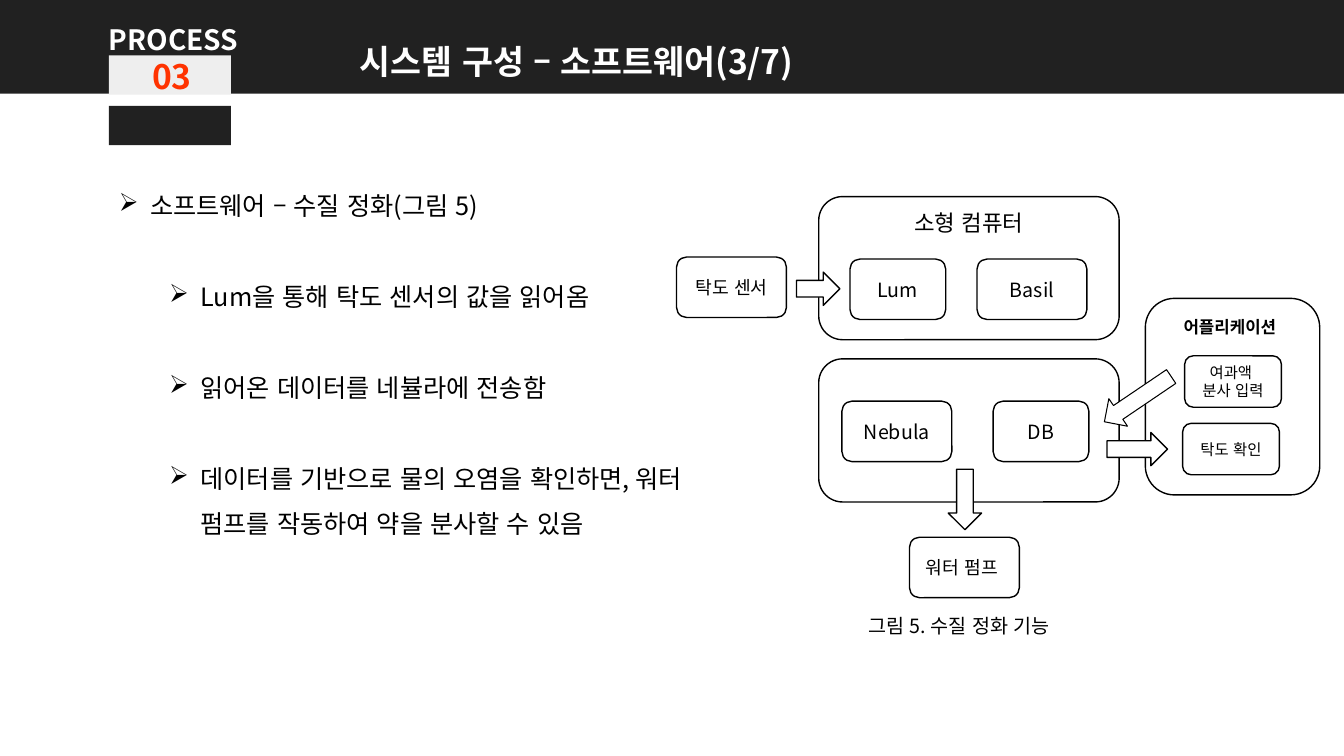
from pptx import Presentation
from pptx.dml.color import RGBColor
from pptx.enum import lang, shapes as sh, text as tx
from pptx.oxml import ns
from pptx.util import Inches, Pt
from lxml import etree

FONT = "Noto Sans CJK KR"
HEX = {"dark": "212121", "pale": "EEEEEE", "red": "FF3300",
       "white": "FFFFFF", "black": "000000"}
KIND = sh.MSO_SHAPE
LEFT, MID = tx.PP_ALIGN.LEFT, tx.PP_ALIGN.CENTER

# Bars: place, colour
BARS = [((0, 0, 13.33, 0.93), "dark"),
        ((1.08, 0.55, 1.21, 0.39), "pale"),
        ((1.08, 1.05, 1.21, 0.39), "dark")]

# Labels: text, place, size, colour, bold, alignment, line spacing, wrap
LABELS = [
    ("PROCESS", (0.98, 0.01, 1.6, 0.54), 20, "white", True, LEFT, 1.5, False),
    ("시스템 구성 – 소프트웨어(3/7)", (3.08, 0.16, 5.28, 0.63), 24, "white", True, MID, 1.5, True),
    ("03", (1.41, 0.51, 0.59, 0.5), 24, "red", True, LEFT, 1, False),
    ("그림 5. 수질 정화 기능 ", (6.77, 6.04, 5.54, 0.34), 14, "black", False, MID, 1, True),
]

# Bullets: level, text
BULLETS = [
    (0, "소프트웨어 – 수질 정화(그림 5)"),
    (1, "Lum을 통해 탁도 센서의 값을 읽어옴"),
    (1, "읽어온 데이터를 네뷸라에 전송함"),
    (1, "데이터를 기반으로 물의 오염을 확인하면, 워터 펌프를 작동하여 약을 분사할 수 있음"),
]

# Panels: heading, place
PANELS = [("", (11.36, 2.96, 1.73, 1.95)),
          ("소형 컴퓨터", (8.12, 1.95, 2.98, 1.42)),
          ("", (8.12, 3.56, 2.98, 1.42))]
APP = ("어플리케이션", (11.64, 3.09, 1.21, 0.3), 12, "black", True, LEFT, 1, False)

# Nodes: text, left, top, size of box, text size
WIDE, SLIM, SMALL = (1.09, 0.6), (0.95, 0.6), (0.96, 0.51)
NODES = [
    ("여과액 \n분사 입력", 11.75, 3.53, SMALL, 11),
    ("탁도 확인", 11.73, 4.2, SMALL, 11),
    ("Basil", 9.69, 2.57, WIDE, 14),
    ("Lum", 8.43, 2.57, SLIM, 14),
    ("Nebula", 8.35, 3.98, WIDE, 14),
    ("DB", 9.85, 3.98, SLIM, 14),
    ("탁도 센서", 6.71, 2.55, WIDE, 13),
    ("워터 펌프 ", 9.02, 5.33, WIDE, 13),
]

# Arrows: kind, place, turn, line width
ARROWS = [
    (KIND.RIGHT_ARROW, (7.9, 2.7, 0.43, 0.33), 0, 1),
    (KIND.RIGHT_ARROW, (9.27, 4.79, 0.6, 0.33), 90, 1),
    (KIND.DOWN_ARROW, (11.12, 3.56, 0.33, 0.8), 55.9, 0.75),
    (KIND.RIGHT_ARROW, (10.98, 4.29, 0.6, 0.33), 0, 1),
]


def color(name):
    return RGBColor.from_string(HEX[name])


def add_run(para, words, size, tint="black", bold=False):
    run = para.add_run()
    run.text = words
    font = run.font
    font.size, font.bold, font.name = Pt(size), bold, FONT
    font.language_id = lang.MSO_LANGUAGE_ID.KOREAN
    font.color.rgb = color(tint)
    east = etree.SubElement(run._r.get_or_add_rPr(), ns.qn("a:ea"))
    east.set("typeface", FONT)


def add_lines(frame, words, size, align=MID, gap=1, **look):
    for i, line in enumerate(words.split("\n")):
        para = frame.add_paragraph() if i else frame.paragraphs[0]
        para.alignment, para.line_spacing = align, gap
        add_run(para, line, size, **look)


def add_shape(home, kind, place, fill, line=None):
    shape = home.add_shape(kind, *map(Inches, place))
    shape.shadow.inherit = False
    shape.fill.solid()
    shape.fill.fore_color.rgb = color(fill)
    if line:
        shape.line.color.rgb = color("black")
        shape.line.width = Pt(line)
    else:
        shape.line.fill.background()
    return shape


def add_label(home, words, place, size, tint, bold, align, gap, wrap):
    frame = home.add_textbox(*map(Inches, place)).text_frame
    frame.word_wrap = wrap
    add_lines(frame, words, size, align, gap, tint=tint, bold=bold)


def add_bullets(home):
    frame = home.add_textbox(*map(Inches, (1.08, 1.69, 5.91, 3.74))).text_frame
    frame.word_wrap = True
    for i, (level, words) in enumerate(BULLETS):
        para = frame.add_paragraph() if i else frame.paragraphs[0]
        para.level, para.line_spacing = level, 1.5
        para.space_before = Pt(32.5 if i else 0)
        props = para._p.get_or_add_pPr()
        props.set("marL", str(Inches(0.31 + 0.5 * level)))
        props.set("indent", str(Inches(-0.31)))
        etree.SubElement(props, ns.qn("a:buChar")).set("char", "➢")
        add_run(para, words, 18)


def add_diagram(home):
    for words, place in PANELS:
        panel = add_shape(home, KIND.ROUNDED_RECTANGLE, place, "white", 1)
        if words:
            frame = panel.text_frame
            frame.vertical_anchor = tx.MSO_ANCHOR.TOP
            frame.margin_top = Inches(0.06)
            add_lines(frame, words, 16)
    add_label(home, *APP)
    for words, left, top, box, size in NODES:
        node = add_shape(home, KIND.ROUNDED_RECTANGLE, (left, top, *box), "white", 1)
        node.text_frame.word_wrap = True
        node.text_frame.vertical_anchor = tx.MSO_ANCHOR.MIDDLE
        add_lines(node.text_frame, words, size)
    for kind, place, turn, width in ARROWS:
        add_shape(home, kind, place, "white", width).rotation = turn


def main():
    deck = Presentation()
    deck.slide_width, deck.slide_height = Inches(13.33), Inches(7.5)
    slide = deck.slides.add_slide(deck.slide_layouts[6])
    for place, fill in BARS:
        add_shape(slide.shapes, KIND.RECTANGLE, place, fill)
    for label in LABELS:
        add_label(slide.shapes, *label)
    add_bullets(slide.shapes)
    add_diagram(slide.shapes.add_group_shape().shapes)
    deck.save("out.pptx")


if __name__ == "__main__":
    main()
